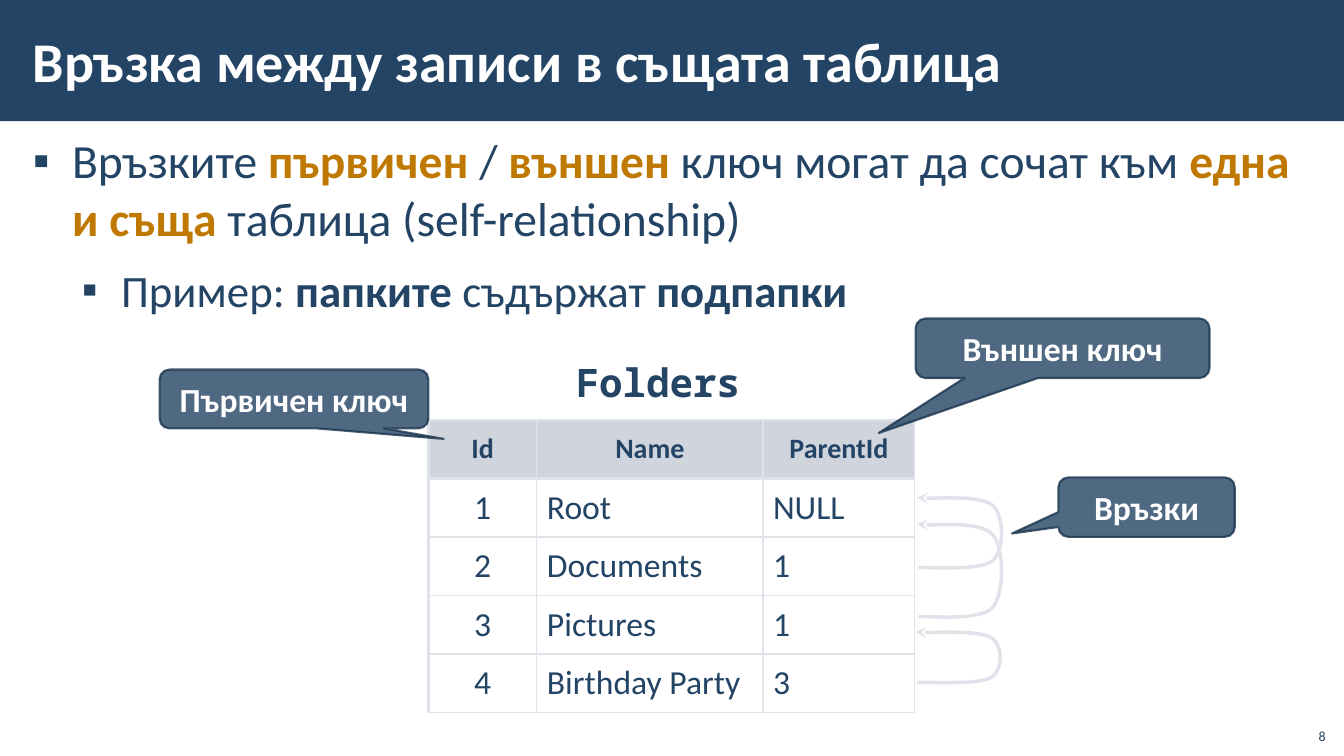
from lxml.etree import SubElement
from pptx import Presentation
from pptx.dml.color import RGBColor
from pptx.enum.shapes import MSO_SHAPE
from pptx.enum.text import MSO_ANCHOR, MSO_AUTO_SIZE, PP_ALIGN
from pptx.oxml.ns import qn
from pptx.util import Pt

COLORS = {"navy": "234465", "white": "FFFFFF", "amber": "BF7800", "header": "D0D4DC",
          "border": "DFE2E9", "arrow": "E0E3E9", "outline": "1A334C"}
FONT = "Calibri"
HEADERS = ["Id", "Name", "ParentId"]
FOLDERS = [("1", "Root", "NULL"), ("2", "Documents", "1"),
           ("3", "Pictures", "1"), ("4", "Birthday Party", "3")]
# Runs: text, colour, bold
BULLETS = [
    (34, [("Връзките ", "navy", False), ("първичен", "amber", True),
          (" / ", "navy", False), ("външен", "amber", True),
          (" ключ могат да сочат към ", "navy", False), ("една и съща", "amber", True),
          (" таблица (self-relationship)", "navy", False)]),
    (32, [("Пример: ", "navy", False), ("папките", "navy", True),
          (" съдържат ", "navy", False), ("подпапки", "navy", True)]),
]
# Loop outline: x in points from the arrow tip, y as a share of the height from the start
LOOP = [(1, 0), (9.5, 0.01), (45, -0.05), (54, 0.1), (62.5, 0.25), (62.5, 0.74),
        (54, 0.89), (45, 1.03), (11.5, 0.98), (0, 1)]


def rgb(name):
    return RGBColor.from_string(COLORS[name])


def points(box):
    return [Pt(length) for length in box]


def add_run(paragraph, text, size, color="navy", bold=False, name=FONT):
    run = paragraph.add_run()
    run.text = text
    for key, value in {"size": Pt(size), "bold": bold, "name": name}.items():
        setattr(run.font, key, value)
    run.font.color.rgb = rgb(color)


def format_frame(frame, anchor, insets=(7.2, 3.6)):
    horizontal, vertical = points(insets)
    formats = {"word_wrap": True, "auto_size": MSO_AUTO_SIZE.NONE, "vertical_anchor": anchor,
               "margin_left": horizontal, "margin_right": horizontal,
               "margin_top": vertical, "margin_bottom": vertical}
    for key, value in formats.items():
        setattr(frame, key, value)


def place(shape, box):
    for key, value in zip(("left", "top", "width", "height"), points(box)):
        setattr(shape, key, value)


def add_title(slide, box):
    # Bar behind the title
    left, top, width, height = box
    bar = slide.shapes.add_shape(MSO_SHAPE.RECTANGLE, *points(box))
    bar.shadow.inherit = False
    bar.fill.solid()
    bar.fill.fore_color.rgb = rgb("navy")
    bar.line.fill.background()
    bar.element.getparent().insert(2, bar.element)

    # Title text
    title = slide.shapes.title
    place(title, (left + 15, top + 8, 808, height - 17))
    format_frame(title.text_frame, MSO_ANCHOR.MIDDLE, (8.5, 2.8))
    paragraph = title.text_frame.paragraphs[0]
    paragraph.alignment = PP_ALIGN.LEFT
    add_run(paragraph, "Връзка между записи в същата таблица", 40, "white", True)


def add_bullets(slide, box):
    body = slide.placeholders[1]
    place(body, box)
    frame = body.text_frame
    format_frame(frame, MSO_ANCHOR.TOP, (8.5, 2.8))
    for level, (size, runs) in enumerate(BULLETS):
        paragraph = frame.add_paragraph() if level else frame.paragraphs[0]
        formats = {"level": level, "alignment": PP_ALIGN.LEFT,
                   "space_before": Pt(6 * level), "space_after": Pt(6)}
        for key, value in formats.items():
            setattr(paragraph, key, value)
        properties = paragraph._p.get_or_add_pPr()
        properties.set("marL", str(Pt(28 + 35 * level)))
        properties.set("indent", str(Pt(-28)))
        bullet_color = SubElement(properties, qn("a:buClr"))
        SubElement(bullet_color, qn("a:srgbClr"), val=COLORS["navy"])
        SubElement(properties, qn("a:buFont"), typeface="Arial")
        SubElement(properties, qn("a:buChar"), char="▪")
        for text, color, bold in runs:
            add_run(paragraph, text, size, color, bold)


def add_label(slide, box, text, size, alignment, anchor, **font):
    label = slide.shapes.add_textbox(*points(box))
    format_frame(label.text_frame, anchor)
    paragraph = label.text_frame.paragraphs[0]
    paragraph.alignment = alignment
    add_run(paragraph, text, size, **font)


def set_borders(cell, widths):
    properties = cell._tc.get_or_add_tcPr()
    for index, (side, width) in enumerate(widths.items()):
        line = properties.makeelement(qn(f"a:ln{side}"), {"w": str(Pt(width))})
        properties.insert(index, line)
        fill = SubElement(line, qn("a:solidFill"))
        SubElement(fill, qn("a:srgbClr"), val=COLORS["border"])


def add_folders_table(slide, box):
    left, top, width, height = box
    # Caption above the table
    add_label(slide, (left + 89, top - 46, 150, 37), "Folders", 28, PP_ALIGN.CENTER,
              MSO_ANCHOR.MIDDLE, bold=True, name="Noto Sans Mono")

    # Table with its cells
    rows = [HEADERS] + FOLDERS
    table = slide.shapes.add_table(len(rows), len(HEADERS), *points(box)).table
    table.horz_banding = False
    for column, column_width in zip(table.columns, (77.5, 161.5, 108.5)):
        column.width = Pt(column_width)
    for row_index, row in enumerate(rows):
        table.rows[row_index].height = Pt(height / len(rows))
        is_header = row_index == 0
        for column_index, text in enumerate(row):
            cell = table.cell(row_index, column_index)
            cell.vertical_anchor = MSO_ANCHOR.MIDDLE
            cell.fill.solid()
            cell.fill.fore_color.rgb = rgb("header" if is_header else "white")
            set_borders(cell, {"L": 0.96 if column_index else 2.21, "R": 0.96,
                               "T": 2.21 if row_index < 2 else 0.96,
                               "B": 2.21 if is_header else 0.96})
            paragraph = cell.text_frame.paragraphs[0]
            centred = is_header or column_index == 0
            paragraph.alignment = PP_ALIGN.CENTER if centred else PP_ALIGN.LEFT
            add_run(paragraph, text, 20 if is_header else 24, bold=is_header)


def add_loop_arrow(slide, left, start, end):
    corners = [(Pt(left + x), Pt(start + share * (end - start))) for x, share in LOOP]
    builder = slide.shapes.build_freeform(*corners[0])
    builder.add_line_segments(corners[1:], close=False)
    arrow = builder.convert_to_shape()
    arrow.shadow.inherit = False
    arrow.fill.background()
    arrow.line.color.rgb = rgb("arrow")
    arrow.line.width = Pt(2.5)

    # Turn each three segments into one curve
    outline = next(arrow.element.iter(qn("a:path")))
    segments = outline.findall(qn("a:lnTo"))
    for first in range(0, len(segments), 3):
        curve = SubElement(outline, qn("a:cubicBezTo"))
        for segment in segments[first:first + 3]:
            curve.append(segment[0])
            outline.remove(segment)
    SubElement(arrow.line._get_or_add_ln(), qn("a:tailEnd"), type="stealth")


def add_callout(slide, box, text, tip):
    callout = slide.shapes.add_shape(MSO_SHAPE.ROUNDED_RECTANGULAR_CALLOUT, *points(box))
    callout.shadow.inherit = False
    for index, value in enumerate((*tip, 0.167)):
        callout.adjustments[index] = value
    callout.fill.solid()
    callout.fill.fore_color.rgb = rgb("navy")
    callout.line.color.rgb = rgb("outline")
    callout.line.width = Pt(1.5)
    for color in callout.element.spPr.iter(qn("a:srgbClr")):
        SubElement(color, qn("a:alpha"), val="80000")
    format_frame(callout.text_frame, MSO_ANCHOR.MIDDLE)
    paragraph = callout.text_frame.paragraphs[0]
    paragraph.alignment = PP_ALIGN.CENTER
    add_run(paragraph, text, 24, "white", True)


def add_relationship_slide(presentation):
    slide = presentation.slides.add_slide(presentation.slide_layouts[1])
    add_title(slide, (0, 0, 960, 86.5))
    add_bullets(slide, (15, 91, 930, 438))
    add_folders_table(slide, (306, 300, 347.5, 209))

    # Links from each child row to its parent row
    for left, start, end in ((655, 440.5, 374.5), (655, 405.5, 355.5), (654, 487.5, 451.5)):
        add_loop_arrow(slide, left, start, end)

    # Callouts
    add_callout(slide, (114, 264, 192, 42), "Първичен ключ", (0.557, 0.679))
    add_callout(slide, (654, 227.5, 210, 42.5), "Външен ключ", (-0.625, 1.425))
    add_callout(slide, (756, 341, 126, 42.5), "Връзки", (-0.763, 0.443))

    # Slide number
    add_label(slide, (925, 512.5, 29, 23), "8", 10, PP_ALIGN.RIGHT, MSO_ANCHOR.BOTTOM)


def main():
    presentation = Presentation()
    presentation.slide_width, presentation.slide_height = Pt(960), Pt(540)
    add_relationship_slide(presentation)
    presentation.save("out.pptx")


if __name__ == "__main__":
    main()
